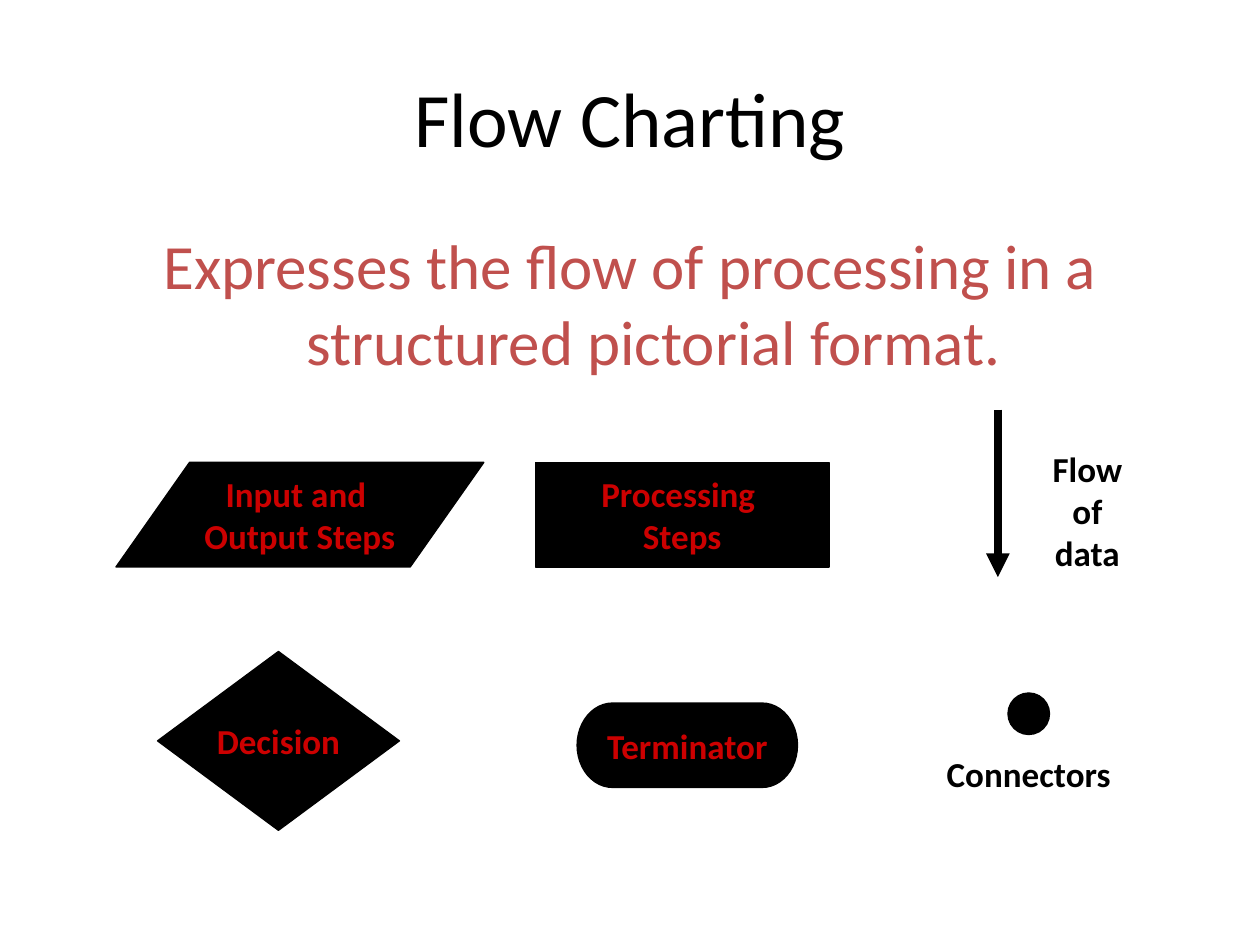
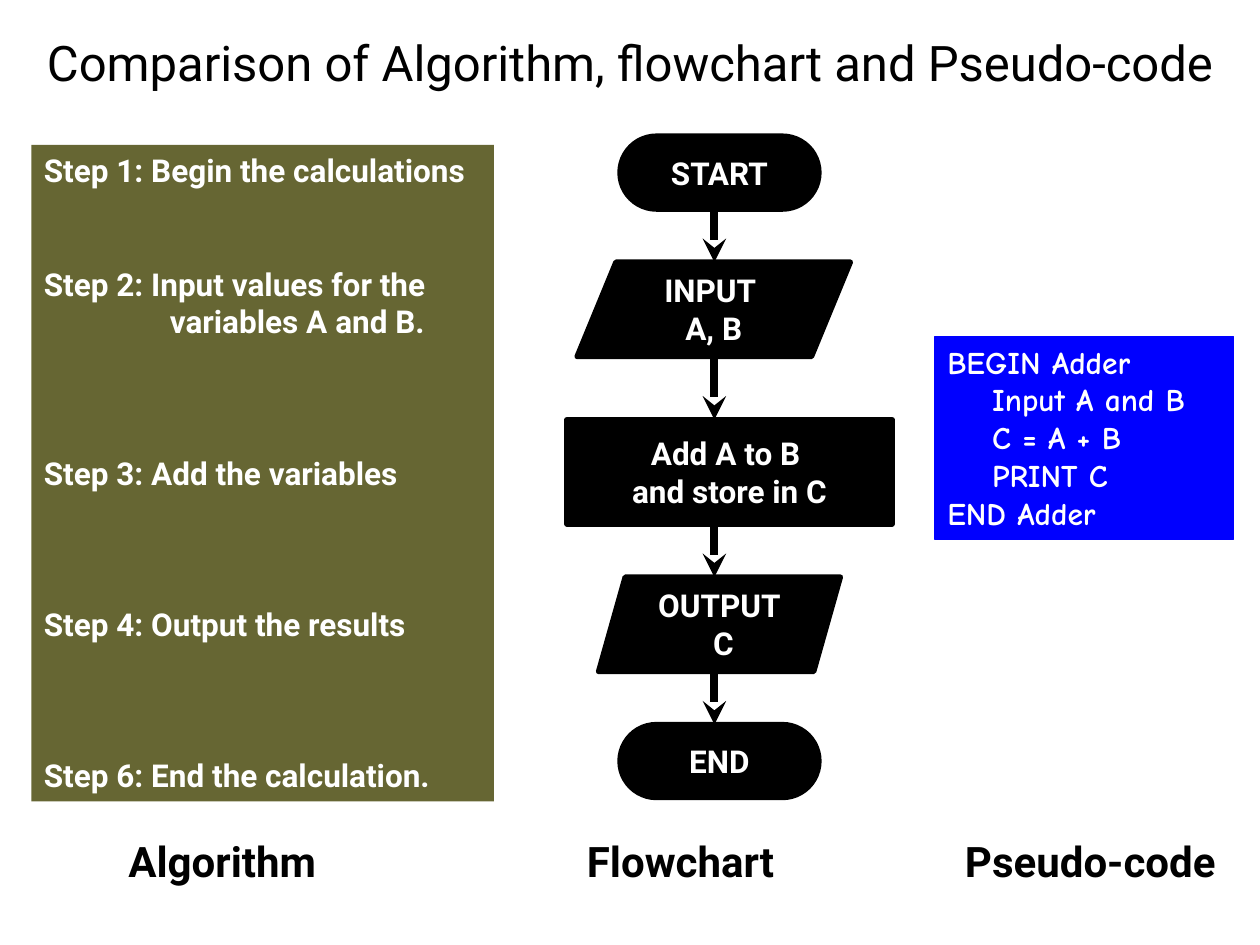
from dataclasses import dataclass
from itertools import pairwise

from lxml import etree
from pptx import Presentation
from pptx.dml.color import RGBColor
from pptx.enum import shapes, text
from pptx.oxml.ns import qn
from pptx.util import Inches, Pt


@dataclass(frozen=True)
class Theme:
    black: RGBColor = RGBColor(0, 0, 0)
    white: RGBColor = RGBColor(255, 255, 255)
    brick: RGBColor = RGBColor(0xC0, 0x50, 0x4D)
    red: RGBColor = RGBColor(0xCC, 0, 0)
    olive: RGBColor = RGBColor(0x66, 0x66, 0x33)
    blue: RGBColor = RGBColor(0, 0, 255)
    main: str = "Calibri"
    comparison: str = "Roboto"
    code: str = "Comic Neue"
    title: int = 44
    lead: int = 36
    heading: int = 28
    caption: int = 24
    symbol: int = 20
    step: int = 18


theme = Theme()
kind = shapes.MSO_SHAPE
LEFT, CENTER = text.PP_ALIGN.LEFT, text.PP_ALIGN.CENTER
TOP, MIDDLE = text.MSO_ANCHOR.TOP, text.MSO_ANCHOR.MIDDLE


def add_box(page, place, lines, font, size, color, bold=True, align=CENTER,
            anchor=MIDDLE, wrap=True, shape=None, fill=None, line_width=0):
    """Add a text box, or a filled preset shape when shape is given."""
    area = [Inches(length) for length in place]
    if shape is None:
        box = page.shapes.add_textbox(*area)
    else:
        box = page.shapes.add_shape(shape, *area)
        box.shadow.inherit = False
        box.fill.solid()
        box.fill.fore_color.rgb = fill
        if line_width:
            box.line.color.rgb = fill
            box.line.width = Pt(line_width)
        else:
            box.line.fill.background()
    frame = box.text_frame
    frame.word_wrap = wrap
    frame.vertical_anchor = anchor
    font_values = {"name": font, "size": Pt(size), "bold": bold}
    for index, line in enumerate(lines):
        para = frame.paragraphs[0] if index == 0 else frame.add_paragraph()
        para.alignment = align
        span = para.add_run()
        span.text = line
        for name, value in font_values.items():
            setattr(span.font, name, value)
        span.font.color.rgb = color
    return box


def add_arrow(page, x, top, bottom, head):
    arrow = page.shapes.add_connector(
        shapes.MSO_CONNECTOR.STRAIGHT, Inches(x), Inches(top), Inches(x), Inches(bottom))
    arrow.line.color.rgb = theme.black
    arrow.line.width = Pt(4.5)
    properties = arrow._element.spPr
    etree.SubElement(properties.find(qn("a:ln")), qn("a:tailEnd"), type=head)
    etree.SubElement(properties, qn("a:effectLst"))


deck = Presentation()
deck.slide_width, deck.slide_height = Inches(10), Inches(7.5)
blank = deck.slide_layouts[6]

# Flow chart symbols
page = deck.slides.add_slide(blank)
add_box(page, (0.5, 0.3, 9, 1.25), ["Flow Charting"],
        theme.main, theme.title, theme.black, bold=False)
lead = add_box(page, (0.5, 1.75, 9, 1.25),
               ["Expresses the flow of processing in a structured pictorial format."],
               theme.main, theme.lead, theme.brick, bold=False, anchor=TOP)
hanging = lead.text_frame.paragraphs[0]._p.get_or_add_pPr()
hanging.set("marL", str(Inches(0.38)))
hanging.set("indent", str(-Inches(0.38)))

symbols = [
    (kind.RECTANGLE, (4.25, 3.67, 2.33, 0.83), ["Processing ", "Steps"]),
    (kind.FLOWCHART_DATA, (0.92, 3.67, 2.92, 0.83), ["Input and ", "Output Steps"]),
    (kind.FLOWCHART_DECISION, (1.25, 5.17, 1.92, 1.42), ["Decision"]),
    (kind.FLOWCHART_TERMINATOR, (4.58, 5.58, 1.75, 0.67), ["Terminator"]),
    (kind.FLOWCHART_CONNECTOR, (8, 5.5, 0.33, 0.33), []),
]
for shape, place, lines in symbols:
    add_box(page, place, lines, theme.main, theme.symbol, theme.red,
            wrap=False, shape=shape, fill=theme.black, line_width=0.75)

add_arrow(page, 7.92, 3.25, 4.58, "triangle")
for place, label in [((8.17, 3.5, 0.92, 1.1), "Flow of data"),
                     ((7.25, 5.92, 1.83, 0.43), "Connectors")]:
    add_box(page, place, [label], theme.main, theme.symbol, theme.black, anchor=TOP)

# Comparison of the three notations
page = deck.slides.add_slide(blank)
add_box(page, (0, 0.08, 10, 0.83), ["Comparison of Algorithm, flowchart and Pseudo-code"],
        theme.comparison, theme.heading, theme.black, bold=False)

flow_steps = [
    (kind.ROUNDED_RECTANGLE, 0.5, (4.92, 1.08, 1.58, 0.58), ["START"]),
    (kind.PARALLELOGRAM, 0.412, (4.58, 2.08, 2.17, 0.75), ["INPUT ", "A, B"]),
    (kind.RECTANGLE, None, (4.5, 3.33, 2.58, 0.83), ["Add A to B ", "and store in C"]),
    (kind.PARALLELOGRAM, 0.282, (4.75, 4.58, 1.92, 0.75), ["OUTPUT", " C"]),
    (kind.ROUNDED_RECTANGLE, 0.5, (4.92, 5.75, 1.58, 0.58), ["END"]),
]
for shape, adjustment, place, lines in flow_steps:
    box = add_box(page, place, lines, theme.comparison, theme.step, theme.white,
                  wrap=False, shape=shape, fill=theme.black, line_width=3)
    if adjustment is not None:
        box.adjustments[0] = adjustment

for (_, _, upper, _), (_, _, lower, _) in pairwise(flow_steps):
    add_arrow(page, 5.67, upper[1] + upper[3], lower[1], "stealth")

# Each algorithm line with the number of line heights left free above it
algorithm = [
    ("Step 1: Begin the calculations", 0),
    ("Step 2: Input values for the", 2),
    ("variables A and B.", 0),
    ("Step 3: Add the variables", 3),
    ("Step 4: Output the results", 3),
    ("Step 6: End the calculation.", 3),
]
line_height = 1.2 * theme.step
box = add_box(page, (0.25, 1.15, 3.67, 5.21), [line for line, _ in algorithm],
              theme.comparison, theme.step, theme.white, align=LEFT, anchor=TOP,
              shape=kind.RECTANGLE, fill=theme.olive)
for para, (line, gap) in zip(box.text_frame.paragraphs, algorithm):
    if gap:
        para.space_before = Pt(gap * line_height)
    if not line.startswith("Step"):
        para._p.get_or_add_pPr().set("marL", str(Inches(1)))

pseudo_code = ["BEGIN Adder", "    Input A and B", "    C = A + B", "    PRINT C", "END Adder"]
add_box(page, (7.42, 2.67, 2.37, 1.61), pseudo_code, theme.code, theme.step, theme.white,
        align=LEFT, anchor=TOP, shape=kind.RECTANGLE, fill=theme.blue, line_width=0.75)

for left, width, caption in [(0.92, 1.86, "Algorithm"), (4.56, 1.87, "Flowchart"),
                             (7.56, 2.35, "Pseudo-code")]:
    add_box(page, (left, 6.58, width, 0.5), [caption], theme.comparison, theme.caption,
            theme.black, align=LEFT, anchor=TOP)

deck.save("out.pptx")
